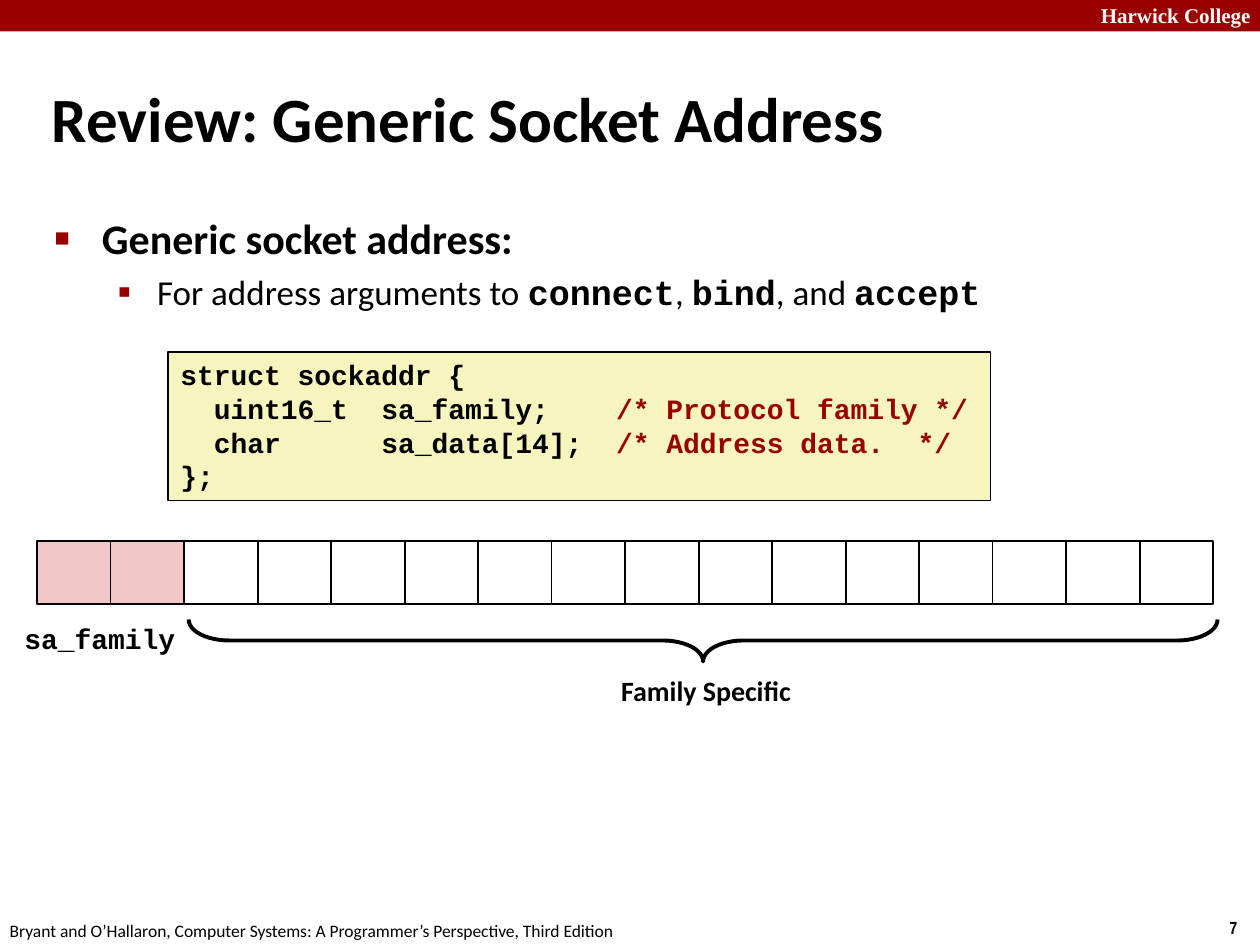
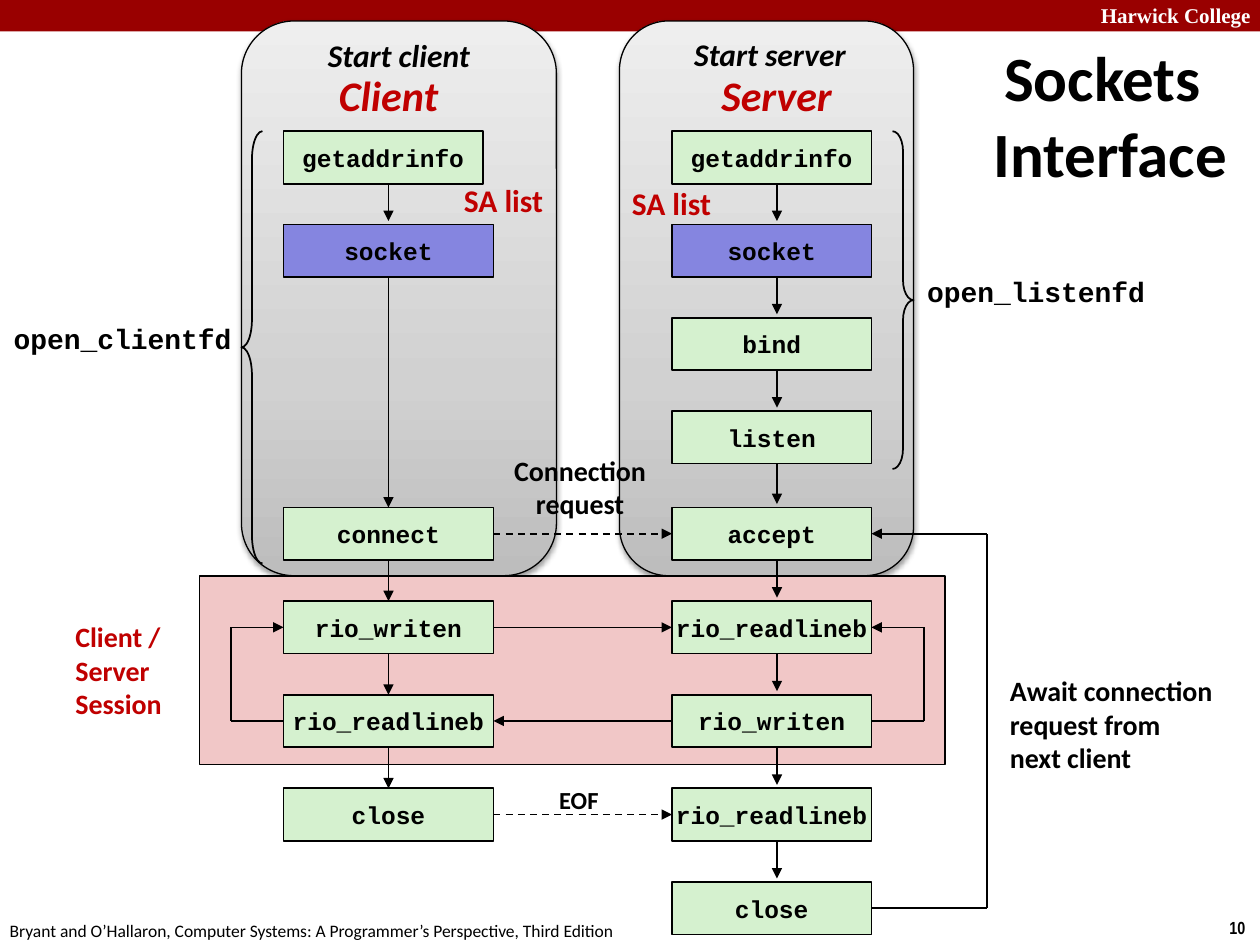
from copy import deepcopy
from dataclasses import dataclass
from lxml.etree import SubElement
from pptx import Presentation
from pptx.dml.color import RGBColor
from pptx.enum.dml import MSO_LINE
from pptx.enum.shapes import MSO_CONNECTOR, MSO_SHAPE
from pptx.enum.text import MSO_ANCHOR, MSO_AUTO_SIZE, PP_ALIGN
from pptx.oxml.ns import qn
from pptx.util import Pt


@dataclass(frozen=True)
class Theme:
    """Colours, fonts and type sizes shared by the slides."""
    black: str = "000000"
    white: str = "FFFFFF"
    band: str = "990000"
    red: str = "C00000"
    pink: str = "F1C7C7"
    cream: str = "F6F5BD"
    green: str = "D5F1CF"
    violet: str = "8585E0"
    panel: tuple = ((0, "BDBDBD"), (0.35, "D1D1D1"), (1, "EEEEEE"))
    sans: str = "Calibri"
    mono: str = "Courier New"
    serif: str = "Times New Roman"
    narrow: str = "Arial Narrow"
    title: int = 36
    head: int = 24
    sub: int = 20
    large: int = 18
    label: int = 16
    node: int = 14
    brand: int = 12
    small: int = 10


T = Theme()
SITES = ((0.5, 0), (0, 0.5), (0.5, 1), (1, 0.5))
CENTER = PP_ALIGN.CENTER


def apply(obj, values):
    """Set each attribute named in a dict of values."""
    for name, value in values.items():
        setattr(obj, name, value)


def write(tf, lines, size, font=T.sans, color=T.black, bold=True, italic=False, align=PP_ALIGN.LEFT):
    """Write paragraphs; a line is a string or a list of (text, overrides)."""
    for i, line in enumerate(lines):
        p = tf.paragraphs[0] if i == 0 else tf.add_paragraph()
        p.alignment = align
        for text, changes in [(line, {})] if isinstance(line, str) else line:
            fmt = dict(name=font, size=Pt(size), bold=bold, italic=italic, color=color) | changes
            r = p.add_run()
            r.text = text
            r.font.color.rgb = RGBColor.from_string(fmt.pop("color"))
            apply(r.font, fmt)


def place(sp, x, y, w, h):
    """Move and size a shape, in points."""
    apply(sp, dict(left=Pt(x), top=Pt(y), width=Pt(w), height=Pt(h)))


def label(s, x, y, w, h, lines, size=T.label, wrap=False, **fmt):
    """Add a text box that fits its text."""
    tf = s.shapes.add_textbox(Pt(x), Pt(y), Pt(w), Pt(h)).text_frame
    apply(tf, dict(word_wrap=wrap, auto_size=MSO_AUTO_SIZE.SHAPE_TO_FIT_TEXT))
    write(tf, lines, size, **fmt)


def shape(s, kind, x, y, w, h, fill=None, line=1):
    """Add a flat preset shape with a black outline."""
    sp = s.shapes.add_shape(kind, Pt(x), Pt(y), Pt(w), Pt(h))
    sp.shadow.inherit = False
    if fill:
        sp.fill.solid()
        sp.fill.fore_color.rgb = RGBColor.from_string(fill)
    else:
        sp.fill.background()
    if line:
        sp.line.width = Pt(line)
        sp.line.color.rgb = RGBColor.from_string(T.black)
    else:
        sp.line.fill.background()
    return sp


def brace(s, kind, x, y, w, h, curve, line=1, rotation=0):
    """Add a curly brace."""
    sp = shape(s, kind, x, y, w, h, line=line)
    sp.adjustments[0] = curve
    sp.rotation = rotation


def node(s, x, y, w, name, fill=T.green):
    """Add a box that names one function call."""
    sp = shape(s, MSO_SHAPE.RECTANGLE, x, y, w, 30, fill)
    apply(sp.text_frame, dict(word_wrap=False, vertical_anchor=MSO_ANCHOR.MIDDLE))
    write(sp.text_frame, [name], T.node, T.mono, align=CENTER)
    return sp


def port(sp, site):
    """Return the middle of a side of a shape, in points."""
    dx, dy = SITES[site]
    return sp.left.pt + sp.width.pt * dx, sp.top.pt + sp.height.pt * dy


def line(s, start, end, arrow=True, dash=False):
    """Draw a line between ends, each a point or a (shape, site) pair."""
    joined = [not isinstance(e[0], (int, float)) for e in (start, end)]
    (x1, y1), (x2, y2) = [port(*e) if j else e for e, j in zip((start, end), joined)]
    c = s.shapes.add_connector(MSO_CONNECTOR.STRAIGHT, Pt(x1), Pt(y1), Pt(x2), Pt(y2))
    for j, connect, e in zip(joined, (c.begin_connect, c.end_connect), (start, end)):
        if j:
            connect(*e)
    c.line.width = Pt(1)
    c.line.color.rgb = RGBColor.from_string(T.black)
    if dash:
        c.line.dash_style = MSO_LINE.DASH
    if arrow:
        SubElement(c.line._get_or_add_ln(), qn("a:tailEnd"), type="triangle")
    SubElement(c._element.spPr, qn("a:effectLst"))


def loop(s, start, end, side, x):
    """Lead a line out of one box, along x and back into another."""
    y1, y2 = port(start, side)[1], port(end, side)[1]
    line(s, (start, side), (x, y1), arrow=False)
    line(s, (x, y1), (x, y2), arrow=False)
    line(s, (x, y2), (end, side))


def panel(s, x, w, text):
    """Add a rounded grey panel with a shadow and a heading."""
    sp = shape(s, MSO_SHAPE.ROUNDED_RECTANGLE, x, 12, w, 317, line=0.75)
    sp.fill.gradient()
    sp.fill.gradient_angle = 90
    stops = sp._element.spPr.find(".//" + qn("a:gsLst"))
    stops.insert(1, deepcopy(stops[0]))
    for stop, (position, color) in zip(sp.fill.gradient_stops, T.panel):
        stop.position = position
        stop.color.rgb = RGBColor.from_string(color)
    shadow = SubElement(sp._element.spPr.find(qn("a:effectLst")), qn("a:outerShdw"),
                        blurRad=str(Pt(3.1)), dist=str(Pt(1.6)), dir="5400000", rotWithShape="0")
    color = SubElement(shadow, qn("a:srgbClr"), val=T.black)
    SubElement(color, qn("a:alpha"), val="38000")
    apply(sp.text_frame, dict(margin_top=0, vertical_anchor=MSO_ANCHOR.TOP, word_wrap=True))
    write(sp.text_frame, [text], T.large, italic=True, align=CENTER)


def bullet(p, char, percent, margin, hang):
    """Give a paragraph a coloured bullet and a hanging indent."""
    pPr = p._p.get_or_add_pPr()
    pPr.set("marL", str(Pt(margin)))
    pPr.set("indent", str(Pt(-hang)))
    SubElement(SubElement(pPr, qn("a:buClr")), qn("a:srgbClr"), val=T.band)
    SubElement(pPr, qn("a:buSzPct"), val=str(percent * 1000))
    SubElement(pPr, qn("a:buChar"), char=char)


def new_slide(prs, layout, number, title, box, align):
    """Add a slide with its title, band, footer and page number."""
    s = prs.slides.add_slide(prs.slide_layouts[layout])
    shape(s, MSO_SHAPE.RECTANGLE, 0, 0, 720, 18, T.band, line=0)
    label(s, 622, -2, 103, 22, ["Harwick College"], T.brand, True, font=T.serif, color=T.white)
    label(s, 695.5, 520.5, 24.5, 19.5, [str(number)], T.small, font=T.narrow)
    label(s, -1.5, 522, 366, 19.5,
          ["Bryant and O’Hallaron, Computer Systems: A Programmer’s Perspective, Third Edition"],
          T.small, bold=False)
    place(s.shapes.title, *box)
    tf = s.shapes.title.text_frame
    apply(tf, dict(auto_size=MSO_AUTO_SIZE.NONE, word_wrap=True, vertical_anchor=MSO_ANCHOR.MIDDLE))
    write(tf, [title], T.title, align=align)
    pPr = tf.paragraphs[0]._p.get_or_add_pPr()
    pPr.set("marL", str(Pt(9)))
    pPr.set("indent", str(Pt(-9)))
    return s


def address_slide(prs):
    """Build the slide on the generic socket address."""
    s = new_slide(prs, 1, 7, "Review: Generic Socket Address", (22.5, 36.5, 686, 61), PP_ALIGN.LEFT)
    body = s.placeholders[1]
    place(body, 24, 118, 686, 88.5)
    tf = body.text_frame
    tf.auto_size = MSO_AUTO_SIZE.NONE
    plain = dict(size=Pt(T.sub), bold=False)
    code = dict(size=Pt(T.sub), name=T.mono)
    write(tf, ["Generic socket address:",
               [("For address arguments to ", plain), ("connect", code), (", ", plain),
                ("bind", code), (", and ", plain), ("accept", code)]], T.head)
    tf.paragraphs[1].level = 1
    bullet(tf.paragraphs[0], "■", 60, 27, 27)
    bullet(tf.paragraphs[1], "▪", 110, 58.5, 22.5)

    tf = shape(s, MSO_SHAPE.RECTANGLE, 96, 201, 470, 85, T.cream).text_frame
    apply(tf, dict(word_wrap=False, vertical_anchor=MSO_ANCHOR.TOP,
                   auto_size=MSO_AUTO_SIZE.SHAPE_TO_FIT_TEXT))
    comment = dict(color=T.band)
    write(tf, ["struct sockaddr {",
               [("  uint16_t  sa_family;    ", {}), ("/* Protocol family */", comment)],
               [("  char      sa_data[14];  ", {}), ("/* Address data.  */", comment)],
               "};"], T.label, T.mono)

    for i in range(16):
        shape(s, MSO_SHAPE.RECTANGLE, 21.25 + 42 * i, 309, 42, 36, T.pink if i < 2 else None)
    label(s, 6.5, 351.5, 101, 26.5, ["sa_family"], font=T.mono, align=CENTER)
    label(s, 347, 381.5, 113, 26.5, ["Family Specific"], align=CENTER)
    brace(s, MSO_SHAPE.RIGHT_BRACE, 389.75, 72, 24, 588, 0.96, 2.25, 90)


def row_top(i):
    """Return the top of a row of calls."""
    return 75 + 53.3 * i if i < 4 else 290 + 53.5 * (i - 4)


def sockets_slide(prs):
    """Build the client and server flow chart."""
    s = new_slide(prs, 5, 10, "Sockets Interface", (546, 18, 168, 94.5), CENTER)
    panel(s, 138, 180, "Start client")
    panel(s, 354, 168, " Start server")
    shape(s, MSO_SHAPE.RECTANGLE, 114, 329, 426, 108, T.pink)

    client_calls = {0: "getaddrinfo", 1: "socket", 4: "connect", 5: "rio_writen",
                    6: "rio_readlineb", 7: "close"}
    server_calls = ["getaddrinfo", "socket", "bind", "listen", "accept", "rio_readlineb",
                    "rio_writen", "rio_readlineb", "close"]
    fills = {"socket": T.violet}
    client = {i: node(s, 162, row_top(i), 120 if i else 114, name, fills.get(name, T.green))
              for i, name in client_calls.items()}
    server = [node(s, 384, row_top(i), 114, name, fills.get(name, T.green))
              for i, name in enumerate(server_calls)]

    line(s, (222, row_top(0) + 30), (222, row_top(1) - 2))
    for a, b in ((1, 4), (4, 5), (5, 6), (6, 7)):
        line(s, (client[a], 2), (client[b], 0))
    for i in range(len(server) - 1):
        line(s, (444, row_top(i) + 30), (444, row_top(i + 1) - 2))
    for i in (4, 5, 7):
        line(s, (client[i], 3), (server[i], 1), dash=i != 5)
    line(s, (server[6], 1), (client[6], 3))
    loop(s, client[6], client[5], 1, 132)
    loop(s, server[6], server[5], 3, 528)
    loop(s, server[8], server[4], 3, 564)

    brace(s, MSO_SHAPE.LEFT_BRACE, 138, 75, 12, 247, 1.33)
    brace(s, MSO_SHAPE.RIGHT_BRACE, 510, 75, 12, 193, 0.96)
    for x, y, text in ((0, 180, "open_clientfd"), (522, 153.5, "open_listenfd")):
        label(s, x, y, 140, 26.5, [text], font=T.mono, align=CENTER)
    for x, w, text in ((186, 72, "Client"), (404.5, 78.5, "Server")):
        label(s, x, 36, w, 36, [text], T.head, color=T.red, italic=True, align=CENTER)
    for x, y in ((258, 100), (354, 101.5)):
        label(s, x, y, 60.5, 29, ["SA list"], T.large, color=T.red)
    label(s, 36, 350.5, 66, 65, ["Client / Server", "Session"], wrap=True, color=T.red)
    label(s, 286, 255.5, 91, 46, ["Connection", "request"], align=CENTER)
    label(s, 312, 445, 37.5, 24.5, ["EOF"], T.node, align=CENTER)
    label(s, 570, 381.5, 132, 65.5, ["Await connection", "request from", "next client"])


def main():
    """Build and save the presentation."""
    prs = Presentation()
    apply(prs, dict(slide_width=Pt(720), slide_height=Pt(540)))
    address_slide(prs)
    sockets_slide(prs)
    prs.save("out.pptx")


if __name__ == "__main__":
    main()
